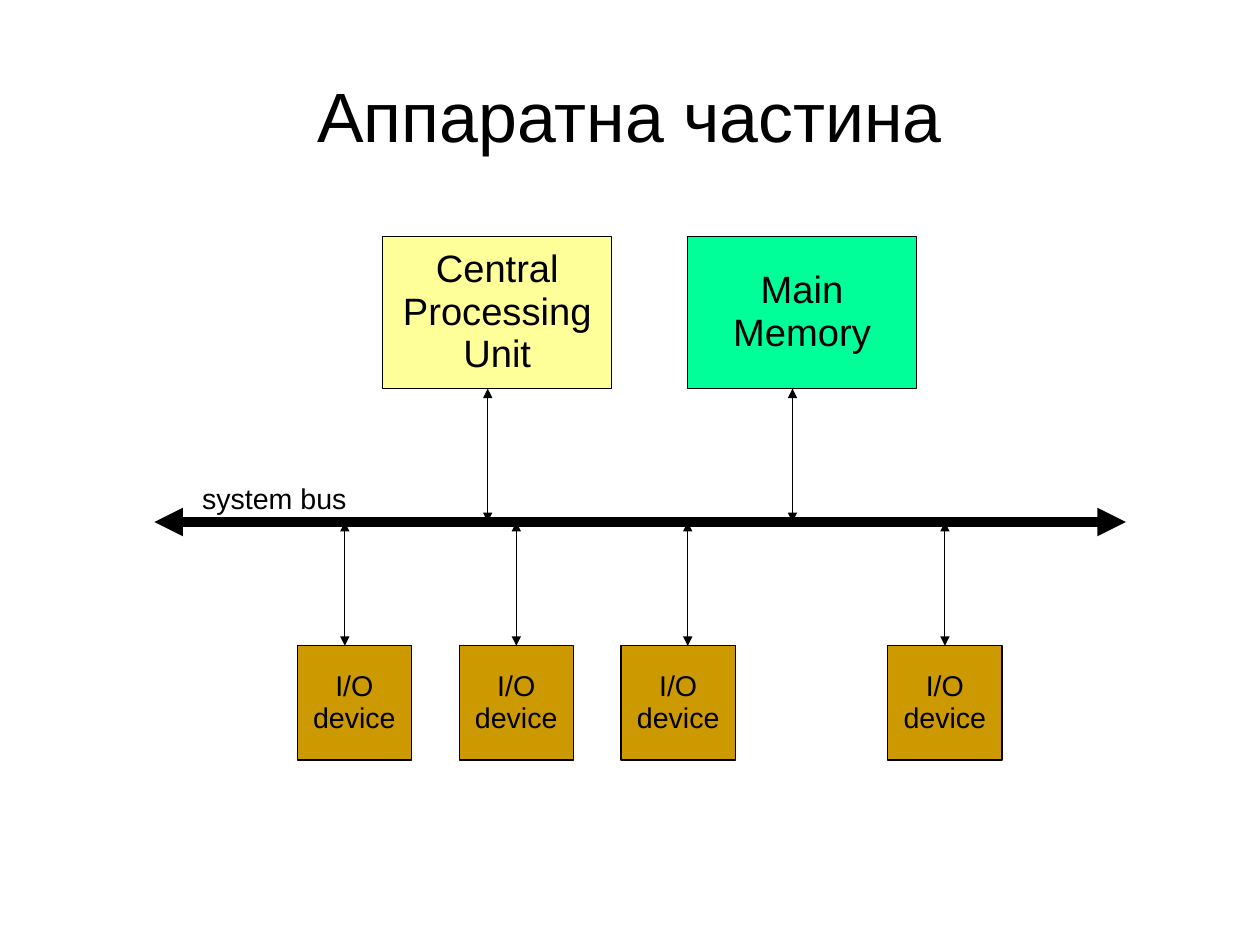
"""Build a slide showing how the system bus joins processor, memory and devices."""
from dataclasses import dataclass

import lxml.etree
import pptx
import pptx.dml.color
import pptx.enum.shapes
import pptx.enum.text
import pptx.oxml.ns
import pptx.shapes.autoshape
import pptx.shapes.connector
import pptx.slide
import pptx.text.text
import pptx.util

SLIDE_WIDTH = pptx.util.Cm(28)
SLIDE_HEIGHT = pptx.util.Cm(21)
GRID_LEFT = pptx.util.Cm(3.43)
GRID_TOP = pptx.util.Cm(5.25)
CELL = pptx.util.Inches(1) / 12
BUS_ROW = 30
BUS_COLUMNS = 102
BLACK = "000000"


@dataclass(frozen=True)
class Unit:
    """A hardware unit on the grid and the column of its link to the bus."""
    lines: tuple[str, ...]
    column: int
    row: int
    columns: int
    rows: int
    link_column: int
    fill: str
    size: int


def device(column: int, link_column: int) -> Unit:
    """Describe an I/O device below the bus."""
    return Unit(("I/O", "device"), column, 43, 12, 12, link_column, "CC9900", 18)


UNITS = (
    Unit(("Central", "Processing", "Unit"), 24, 0, 24, 16, 35, "FFFF99", 24),
    Unit(("Main", "Memory"), 56, 0, 24, 16, 67, "00FF99", 24),
    device(15, 20),
    device(32, 38),
    device(49, 56),
    device(77, 83),
)


def colour(value: str) -> pptx.dml.color.RGBColor:
    """Turn a hex string into a colour."""
    return pptx.dml.color.RGBColor.from_string(value)


def grid_x(column: float) -> int:
    """Give the horizontal position of a grid column."""
    return round(GRID_LEFT + column * CELL)


def grid_y(row: float) -> int:
    """Give the vertical position of a grid row."""
    return round(GRID_TOP + row * CELL)


def write(frame: pptx.text.text.TextFrame, lines: tuple[str, ...], size: int,
          alignment: pptx.enum.text.PP_ALIGN) -> None:
    """Write each line as a paragraph with one run."""
    for index, line in enumerate(lines):
        paragraph = frame.add_paragraph() if index else frame.paragraphs[0]
        paragraph.alignment = alignment
        paragraph.line_spacing = 0.93
        run = paragraph.add_run()
        run.text = line
        run.font.size = pptx.util.Pt(size)
        run.font.name = "Arial"
        run.font.color.rgb = colour(BLACK)


def add_title(slide: pptx.slide.Slide) -> None:
    """Place and fill the title."""
    title = slide.shapes.title
    title.left, title.top = round(SLIDE_WIDTH * 0.05), round(SLIDE_HEIGHT * 0.04)
    title.width, title.height = round(SLIDE_WIDTH * 0.9), round(SLIDE_HEIGHT / 6)
    frame = title.text_frame
    frame.margin_left = frame.margin_right = frame.margin_bottom = 0
    frame.margin_top = pptx.util.Inches(0.04)
    frame.vertical_anchor = pptx.enum.text.MSO_ANCHOR.MIDDLE
    write(frame, ("Аппаратна частина",), 44, pptx.enum.text.PP_ALIGN.CENTER)


def add_unit(slide: pptx.slide.Slide, unit: Unit) -> pptx.shapes.autoshape.Shape:
    """Draw a labelled hardware unit."""
    box = slide.shapes.add_shape(
        pptx.enum.shapes.MSO_SHAPE.RECTANGLE, grid_x(unit.column), grid_y(unit.row),
        round(unit.columns * CELL), round(unit.rows * CELL))
    box.shadow.inherit = False
    box.fill.solid()
    box.fill.fore_color.rgb = colour(unit.fill)
    box.line.color.rgb = colour(BLACK)
    box.line.width = pptx.util.Pt(0.75)
    box.text_frame.word_wrap = False
    box.text_frame.vertical_anchor = pptx.enum.text.MSO_ANCHOR.MIDDLE
    write(box.text_frame, unit.lines, unit.size, pptx.enum.text.PP_ALIGN.CENTER)
    return box


def add_arrow(slide: pptx.slide.Slide, start: tuple[float, float],
              end: tuple[float, float], width: float) -> pptx.shapes.connector.Connector:
    """Draw a two-headed arrow between two grid points."""
    arrow = slide.shapes.add_connector(
        pptx.enum.shapes.MSO_CONNECTOR.STRAIGHT, grid_x(start[0]), grid_y(start[1]),
        grid_x(end[0]), grid_y(end[1]))
    arrow.line.color.rgb = colour(BLACK)
    arrow.line.width = pptx.util.Pt(width)
    properties = arrow.element.spPr
    outline = properties.find(pptx.oxml.ns.qn("a:ln"))
    for tip in ("a:headEnd", "a:tailEnd"):
        lxml.etree.SubElement(outline, pptx.oxml.ns.qn(tip), type="triangle")
    lxml.etree.SubElement(properties, pptx.oxml.ns.qn("a:effectLst"))
    return arrow


def add_bus(slide: pptx.slide.Slide) -> None:
    """Draw the system bus and its label."""
    add_arrow(slide, (0, BUS_ROW), (BUS_COLUMNS, BUS_ROW), 6)
    label = slide.shapes.add_textbox(
        grid_x(3.84), grid_y(25.44), round(17.8 * CELL), round(4.56 * CELL))
    label.text_frame.word_wrap = False
    label.text_frame.auto_size = pptx.enum.text.MSO_AUTO_SIZE.SHAPE_TO_FIT_TEXT
    write(label.text_frame, ("system bus",), 18, pptx.enum.text.PP_ALIGN.LEFT)


def add_link(slide: pptx.slide.Slide, unit: Unit,
             box: pptx.shapes.autoshape.Shape) -> None:
    """Link a unit to the bus, joined to its side where it meets the middle."""
    above = unit.row < BUS_ROW
    edge = unit.row + unit.rows if above else unit.row
    link = add_arrow(slide, (unit.link_column, edge), (unit.link_column, BUS_ROW), 0.75)
    if unit.link_column * 2 == unit.column * 2 + unit.columns:
        link.begin_connect(box, 2 if above else 0)


def main() -> None:
    """Build and save the slide."""
    presentation = pptx.Presentation()
    presentation.slide_width = SLIDE_WIDTH
    presentation.slide_height = SLIDE_HEIGHT
    slide = presentation.slides.add_slide(presentation.slide_layouts[5])
    add_title(slide)
    boxes = [add_unit(slide, unit) for unit in UNITS]
    add_bus(slide)
    for unit, box in zip(UNITS, boxes):
        add_link(slide, unit, box)
    presentation.save("out.pptx")


if __name__ == "__main__":
    main()
